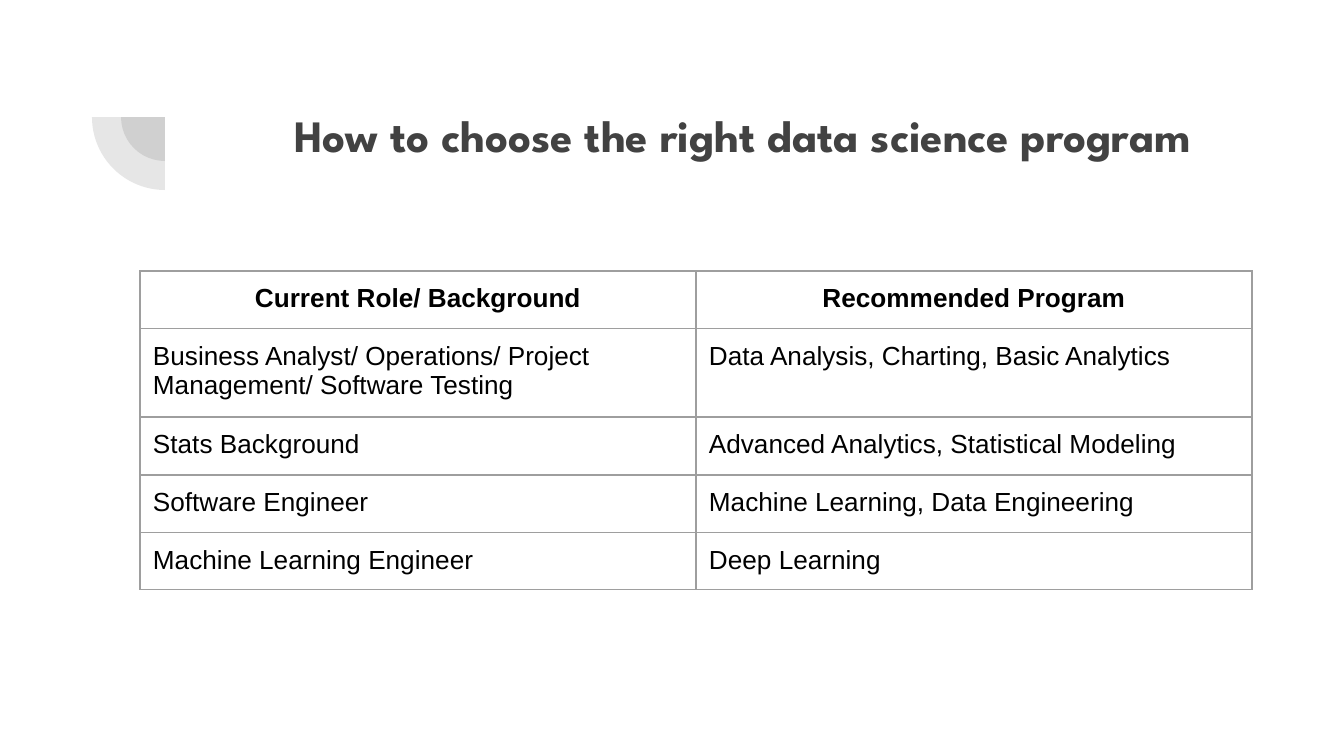
from lxml.etree import SubElement
from pptx import Presentation
from pptx.dml.color import RGBColor as RGB
from pptx.enum.shapes import MSO_SHAPE as Shape
from pptx.enum.text import MSO_ANCHOR as Anchor, PP_ALIGN as Align
from pptx.oxml.ns import qn
from pptx.util import Emu, Pt

EMU_PER_PX = 914400 / 134.4


class Theme:
    ink = "424242"
    text = "000000"
    border = "9E9E9E"
    border_width = Pt(0.75)
    arc_opacity = 13
    title_font, title_size = "League Spartan", Pt(24)
    body_font, body_size = "Arial", Pt(14)
    inset = 13


ROWS = [
    (56, "Current Role/ Background", "Recommended Program"),
    (86, "Business Analyst/ Operations/ Project Management/ Software Testing",
     "Data Analysis, Charting, Basic Analytics"),
    (58, "Stats Background", "Advanced Analytics, Statistical Modeling"),
    (56, "Software Engineer", "Machine Learning, Data Engineering"),
    (56, "Machine Learning Engineer", "Deep Learning"),
]


def px(n):
    return Emu(round(n * EMU_PER_PX))


def add_run(p, text, font, size, color, bold=False):
    r = p.add_run()
    r.text = text
    r.font.name, r.font.size, r.font.bold = font, size, bold
    r.font.color.rgb = RGB.from_string(color)


def set_insets(box):
    box.margin_left = box.margin_right = px(Theme.inset)
    box.margin_top = box.margin_bottom = px(Theme.inset)


def add_quarter(s, cx, cy, radius):
    """Translucent quarter disc, lower left of its centre."""
    sp = s.shapes.add_shape(Shape.PIE, px(cx - radius), px(cy - radius),
                            px(2 * radius), px(2 * radius))
    sp.adjustments[0], sp.adjustments[1] = 108, 162
    sp.rotation = 270
    sp.shadow.inherit = False
    sp.line.fill.background()
    sp.fill.solid()
    sp.fill.fore_color.rgb = RGB.from_string(Theme.ink)
    color = sp.fill._xPr.find(qn("a:solidFill"))[0]
    SubElement(color, qn("a:alpha"), val=str(Theme.arc_opacity * 1000))


def add_title(s, text):
    tf = s.shapes.add_textbox(px(192), px(87), px(1034), px(146)).text_frame
    tf.word_wrap = True
    set_insets(tf)
    p = tf.paragraphs[0]
    p.alignment = Align.CENTER
    p.line_spacing = 1.15
    p.space_after = Pt(16)
    pPr = p._p.get_or_add_pPr()
    pPr.set("marL", str(px(67)))
    pPr.set("indent", "0")
    add_run(p, text, Theme.title_font, Theme.title_size, Theme.ink, bold=True)


def set_borders(cell):
    tcPr = cell._tc.get_or_add_tcPr()
    for side in ("lnL", "lnR", "lnT", "lnB"):
        ln = SubElement(tcPr, qn(f"a:{side}"), w=str(Theme.border_width))
        fill = SubElement(ln, qn("a:solidFill"))
        SubElement(fill, qn("a:srgbClr"), val=Theme.border)


def fill_cell(cell, text, header):
    set_insets(cell)
    set_borders(cell)
    cell.fill.background()
    cell.vertical_anchor = Anchor.TOP
    p = cell.text_frame.paragraphs[0]
    p.alignment = Align.CENTER if header else Align.LEFT
    add_run(p, text, Theme.body_font, Theme.body_size, Theme.text, bold=header)


def add_program_table(s, left, top, col_width):
    height = sum(row[0] for row in ROWS)
    table = s.shapes.add_table(len(ROWS), 2, px(left), px(top),
                               px(2 * col_width), px(height)).table
    table.first_row = table.horz_banding = False
    for col in table.columns:
        col.width = px(col_width)
    for i, (row_height, *texts) in enumerate(ROWS):
        table.rows[i].height = px(row_height)
        for j, text in enumerate(texts):
            fill_cell(table.cell(i, j), text, header=i == 0)


def main():
    prs = Presentation()
    prs.slide_width, prs.slide_height = px(1344), px(756)
    s = prs.slides.add_slide(prs.slide_layouts[6])
    for radius in (44, 73):
        add_quarter(s, 165, 117, radius)
    add_title(s, "How to choose the right data science program")
    add_program_table(s, 140, 271, 556)
    prs.save("out.pptx")


if __name__ == "__main__":
    main()
